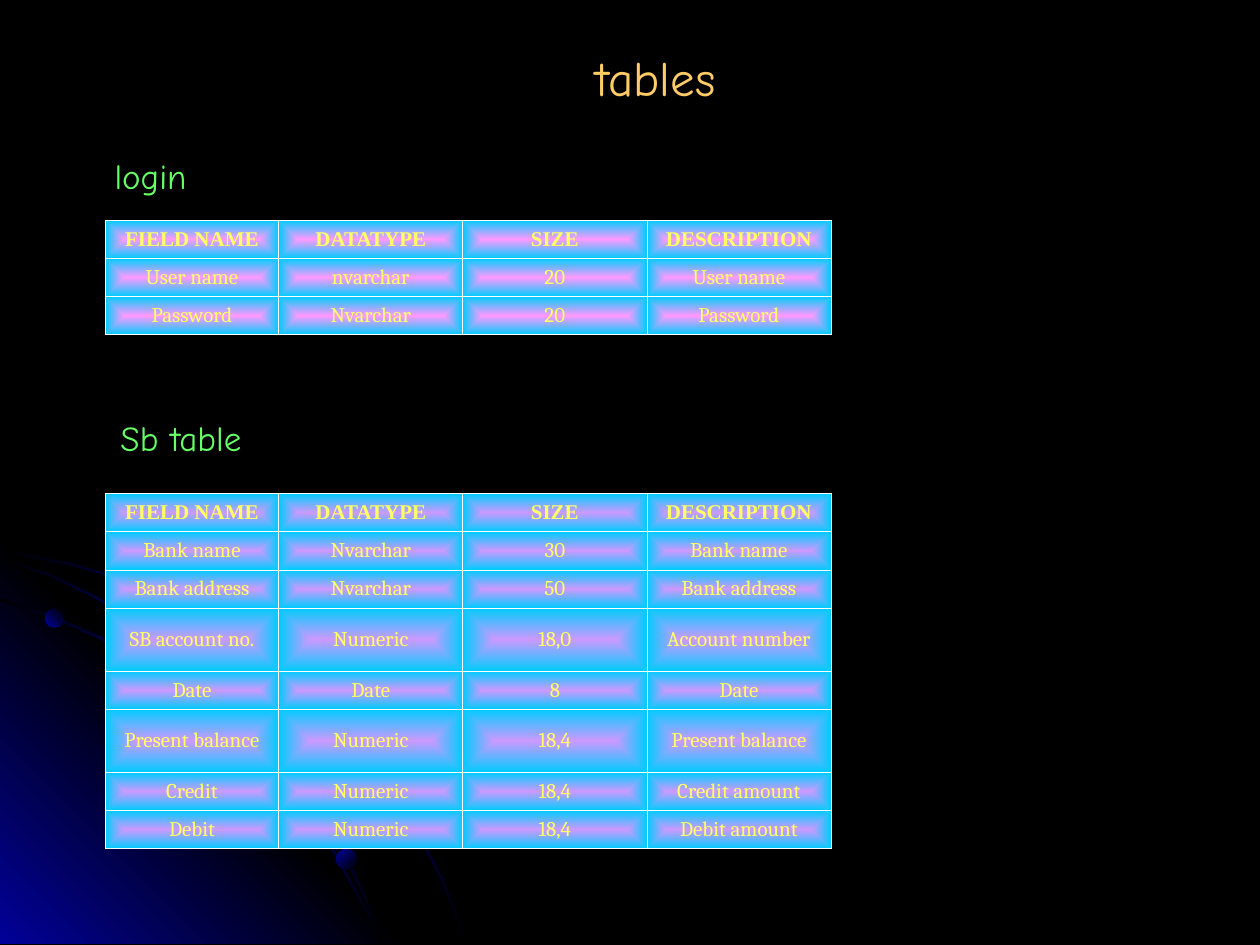
from lxml import etree
from pptx import Presentation
from pptx.dml import color
from pptx.enum import shapes, text
from pptx.oxml import ns
from pptx.util import Cm, Pt

COLORS = {
    "night": "000000",
    "glow": "010199",
    "title": "FFCC66",
    "heading": "66FF66",
    "cell_text": "FFFF66",
    "cell_edge": "00CCFF",
    "login_core": "FF99FF",
    "sb_core": "CC99FF",
    "border": "FFFFFF",
}

ARCS = [
    [(0, 0.2), (0.71, 0.36), (1.45, 0.51), (2.49, 0.81), (3.45, 1.27),
     (4.42, 1.78), (5.31, 2.39), (6.15, 3.07), (6.91, 3.84), (7.62, 4.67),
     (8.26, 5.61), (8.61, 6.25), (8.94, 6.88), (9.19, 7.52), (9.45, 8.18)],
    [(0, 1.22), (1.04, 1.55), (2.01, 1.98), (2.97, 2.51), (3.86, 3.1),
     (4.67, 3.78), (5.46, 4.55), (6.15, 5.41), (6.76, 6.32), (7.26, 7.24),
     (7.52, 7.7), (7.7, 8.18)],
    [(0, 0.38), (0.99, 0.71), (1.93, 1.17), (2.82, 1.68), (3.66, 2.26),
     (4.45, 2.95), (5.18, 3.71), (5.82, 4.47), (6.45, 5.38), (6.83, 6.05),
     (7.16, 6.76), (7.47, 7.44), (7.7, 8.18)],
]
ARC_WIDTH = 0.05
BEADS = [(0.91, 1.42, 0.38, 135), (6.78, 6.27, 0.41, 225), (3.48, 1.17, 0.53, 135)]

HEADER = ["FIELD NAME", "DATATYPE", "SIZE", "DESCRIPTION"]
LOGIN_FIELDS = [
    ["User name", "nvarchar", "20", "User name"],
    ["Password", "Nvarchar", "20", "Password"],
]
SB_FIELDS = [
    ["Bank name", "Nvarchar", "30", "Bank name"],
    ["Bank address", "Nvarchar", "50", "Bank address"],
    ["SB account no.", "Numeric", "18,0", "Account number"],
    ["Date", "Date", "8", "Date"],
    ["Present balance", "Numeric", "18,4", "Present balance"],
    ["Credit", "Numeric", "18,4", "Credit amount"],
    ["Debit", "Numeric", "18,4", "Debit amount"],
]
TALL_FIELDS = {"SB account no.", "Present balance"}
COLUMN_WIDTHS = [3.5, 3.71, 3.71, 3.71]
ROW_HEIGHT, TALL_ROW_HEIGHT = 0.77, 1.27


def rgb(name):
    return color.RGBColor.from_string(COLORS[name])


def add_xml(parent, tag, **attributes):
    return etree.SubElement(parent, ns.qn(tag), attributes)


def add_gradient(parent, names, angle=None):
    gradient = add_xml(parent, "a:gradFill", rotWithShape="1")
    stops = add_xml(gradient, "a:gsLst")
    for i, name in enumerate(names):
        stop = add_xml(stops, "a:gs", pos=str(100000 * i // (len(names) - 1)))
        add_xml(stop, "a:srgbClr", val=COLORS[name])
    if angle is None:
        center = add_xml(gradient, "a:path", path="rect")
        add_xml(center, "a:fillToRect", l="50000", t="50000", r="50000", b="50000")
    else:
        add_xml(gradient, "a:lin", ang=str(angle * 60000), scaled="0")
    return gradient


def paint(shape, names, angle):
    shape.shadow.inherit = False
    shape.line.fill.background()
    properties = shape.fill._xPr
    properties.insert(2, add_gradient(properties, names, angle))


def add_outline(slide, left, top, points, names, angle):
    start, *rest = [(Cm(x), Cm(y)) for x, y in points]
    builder = slide.shapes.build_freeform(*start)
    builder.add_line_segments(rest, close=True)
    paint(builder.convert_to_shape(Cm(left), Cm(top)), names, angle)


def add_arc(slide, left, top, outer):
    last = len(outer) - 1
    inner = [(x - ARC_WIDTH * i / last, y + ARC_WIDTH * (1 - i / last))
             for i, (x, y) in enumerate(outer)]
    add_outline(slide, left, top, outer + inner[::-1], ["night", "glow", "night"], 225)


def add_corner_glow(slide, left, top, side):
    add_arc(slide, left, top, ARCS[0])
    add_outline(slide, left, top, [(0, 0), (side, side), (0, side)],
                ["glow", "night", "glow"], 135)
    for arc in ARCS[1:]:
        add_arc(slide, left, top, arc)
    for x, y, size, angle in BEADS:
        bead = slide.shapes.add_shape(shapes.MSO_SHAPE.OVAL, Cm(left + x), Cm(top + y),
                                      Cm(size), Cm(size))
        paint(bead, ["night", "glow"], angle)


def style_paragraph(paragraph, wording, font_name, size, color_name, bold=False):
    paragraph.text = wording
    font = paragraph.font
    font.name, font.size, font.bold = font_name, Pt(size), bold
    font.color.rgb = rgb(color_name)


def add_label(slide, left, top, width, height, wording, size, color_name):
    frame = slide.shapes.add_textbox(Cm(left), Cm(top), Cm(width), Cm(height)).text_frame
    frame.auto_size = text.MSO_AUTO_SIZE.SHAPE_TO_FIT_TEXT
    style_paragraph(frame.paragraphs[0], wording, "Comic Neue", size, color_name)
    return frame


def add_title(slide, left, top, width, height, wording):
    frame = add_label(slide, left, top, width, height, wording, 28, "title")
    frame.word_wrap = True
    frame.paragraphs[0].alignment = text.PP_ALIGN.CENTER
    frame.paragraphs[0].space_before = Pt(17.5)


def add_heading(slide, left, top, width, height, wording):
    frame = add_label(slide, left, top, width, height, wording, 20, "heading")
    frame.word_wrap = False
    frame.vertical_anchor = text.MSO_ANCHOR.MIDDLE


def style_cell(cell, wording, is_header, core):
    cell.vertical_anchor = text.MSO_ANCHOR.MIDDLE
    paragraph = cell.text_frame.paragraphs[0]
    style_paragraph(paragraph, wording, "Times New Roman" if is_header else "Cambria",
                    12, "cell_text", is_header)
    paragraph.alignment = text.PP_ALIGN.CENTER
    properties = cell._tc.get_or_add_tcPr()
    for side in "LRTB":
        border = add_xml(properties, f"a:ln{side}", w=str(Pt(0.45)))
        add_xml(add_xml(border, "a:solidFill"), "a:srgbClr", val=COLORS["border"])
    add_gradient(properties, [core, "cell_edge"])


def add_field_table(slide, left, top, fields, core):
    rows = [HEADER] + fields
    heights = [TALL_ROW_HEIGHT if row[0] in TALL_FIELDS else ROW_HEIGHT for row in rows]
    table = slide.shapes.add_table(len(rows), len(HEADER), Cm(left), Cm(top),
                                   Cm(sum(COLUMN_WIDTHS)), Cm(sum(heights))).table
    table.first_row = table.horz_banding = False
    for column, width in zip(table.columns, COLUMN_WIDTHS):
        column.width = Cm(width)
    for r, (row, height) in enumerate(zip(rows, heights)):
        table.rows[r].height = Cm(height)
        for c, wording in enumerate(row):
            style_cell(table.cell(r, c), wording, r == 0, core)


def main():
    deck = Presentation()
    deck.slide_width, deck.slide_height = Cm(25.4), Cm(19.05)
    slide = deck.slides.add_slide(deck.slide_layouts[6])
    slide.background.fill.solid()
    slide.background.fill.fore_color.rgb = rgb("night")

    add_corner_glow(slide, 0, 10.85, 8.18)
    add_heading(slide, 2.06, 2.97, 2.16, 1.12, "login")
    add_field_table(slide, 2.12, 4.44, LOGIN_FIELDS, "login_core")
    add_title(slide, 7.82, 0.84, 10.8, 1.45, "tables")
    add_heading(slide, 2.18, 8.26, 3.18, 1.12, "Sb table")
    add_field_table(slide, 2.12, 9.95, SB_FIELDS, "sb_core")
    deck.save("out.pptx")


if __name__ == "__main__":
    main()
